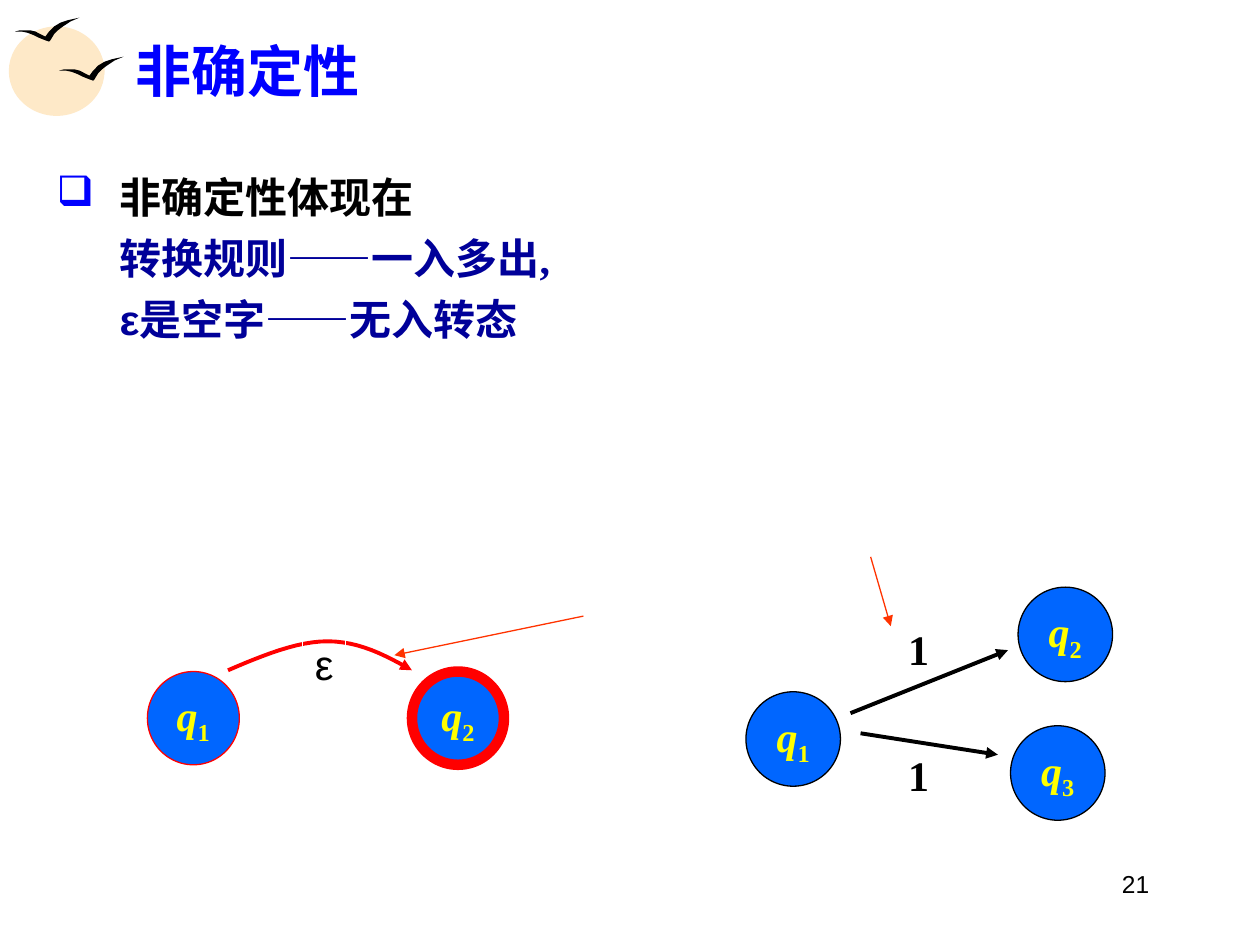
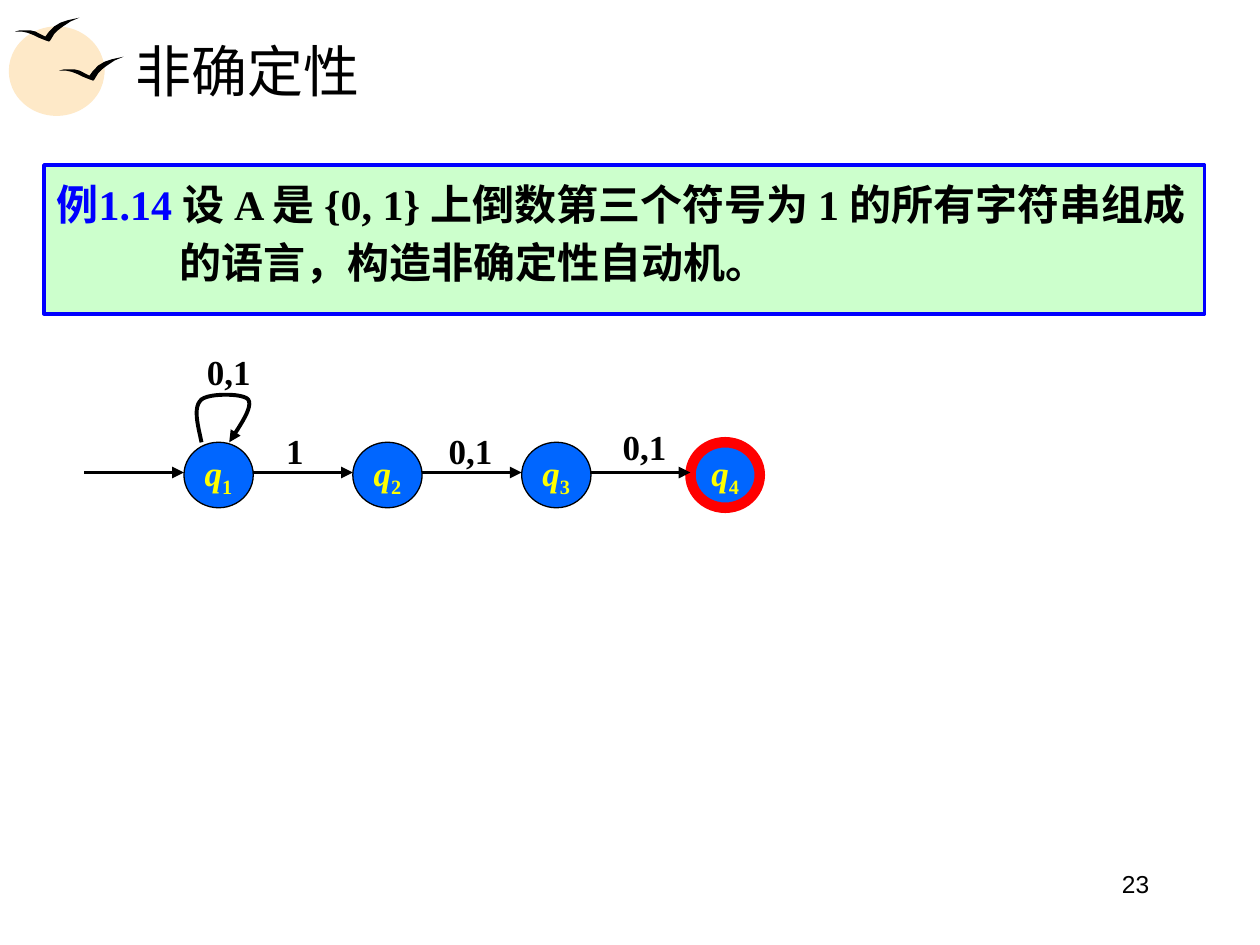
from dataclasses import dataclass
from typing import Any

from lxml import etree
from pptx import Presentation
from pptx.dml.color import RGBColor
from pptx.enum.shapes import MSO_CONNECTOR, MSO_SHAPE
from pptx.enum.text import MSO_ANCHOR, PP_ALIGN
from pptx.oxml.ns import qn
from pptx.util import Inches, Pt

STRAIGHT = MSO_CONNECTOR.STRAIGHT
OVAL, RECTANGLE = MSO_SHAPE.OVAL, MSO_SHAPE.RECTANGLE
MIDDLE, TOP = MSO_ANCHOR.MIDDLE, MSO_ANCHOR.TOP
LEFT, CENTER, RIGHT = PP_ALIGN.LEFT, PP_ALIGN.CENTER, PP_ALIGN.RIGHT

BLACK = RGBColor(0x00, 0x00, 0x00)
WHITE = RGBColor(0xFF, 0xFF, 0xFF)
BLUE = RGBColor(0x00, 0x00, 0xFF)
NAVY = RGBColor(0x00, 0x00, 0x99)
STATE_BLUE = RGBColor(0x00, 0x66, 0xFF)
YELLOW = RGBColor(0xFF, 0xFF, 0x00)
RED = RGBColor(0xFF, 0x00, 0x00)
ORANGE = RGBColor(0xFF, 0x33, 0x00)
SUN = RGBColor(0xFE, 0xE9, 0xC8)
MINT = RGBColor(0xCC, 0xFF, 0xCC)

SERIF, SANS = "Times New Roman", "Arial"
THIN, BOLD_LINE, ACCEPT_LINE = 0.75, 2.25, 6
BULLET = "❑"

Point = tuple[float, float]
Box = tuple[float, float, float, float]

BIRD: list[Point] = [
    (0.12, 0.25), (0.16, 0.24), (0.24, 0.24), (0.28, 0.25), (0.32, 0.27),
    (0.36, 0.29), (0.39, 0.25), (0.43, 0.21), (0.48, 0.18), (0.54, 0.16),
    (0.63, 0.14), (0.56, 0.17), (0.5, 0.21), (0.46, 0.24), (0.43, 0.27),
    (0.4, 0.32), (0.39, 0.33), (0.36, 0.32), (0.31, 0.3), (0.27, 0.28),
    (0.22, 0.26), (0.17, 0.25),
]
BIRD_SHIFTS: list[Point] = [(0.35, 0.31), (0, 0)]
SUN_DISCS: list[Box] = [(0.07, 0.21, 0.76, 0.71), (0.2, 0.28, 0.63, 0.55)]


@dataclass(frozen=True)
class Span:
    text: str
    size: float = 24
    color: RGBColor = BLACK
    bold: bool = True
    italic: bool = False
    font: str = SERIF
    baseline: int = 0


@dataclass(frozen=True)
class State:
    number: int
    box: Box
    size: float = 24
    outline: RGBColor = BLACK
    width: float = THIN


@dataclass(frozen=True)
class Label:
    span: Span
    box: Box
    outline: RGBColor | None = None


@dataclass(frozen=True)
class Arrow:
    start: Point
    end: Point
    color: RGBColor = BLACK
    width: float = BOLD_LINE


@dataclass(frozen=True)
class Curve:
    start: Point
    segments: list[tuple[Point, Point, Point]]
    color: RGBColor = BLACK


def apply_format(target: Any, values: dict[str, Any]) -> None:
    for name, value in values.items():
        setattr(target, name, value)


def write(paragraph: Any, spans: list[Span]) -> None:
    for span in spans:
        run = paragraph.add_run()
        run.text = span.text
        apply_format(run.font, {"name": span.font, "size": Pt(span.size),
                                "bold": span.bold, "italic": span.italic})
        run.font.color.rgb = span.color
        if span.baseline:
            run._r.get_or_add_rPr().set("baseline", str(span.baseline))


def indent(paragraph: Any, margin: float, first: float) -> None:
    properties = paragraph._p.get_or_add_pPr()
    properties.set("marL", str(Inches(margin)))
    properties.set("indent", str(Inches(first)))


def add_bullet(paragraph: Any, color: RGBColor) -> None:
    properties = paragraph._p.get_or_add_pPr()
    bullet_color = etree.SubElement(properties, qn("a:buClr"))
    etree.SubElement(bullet_color, qn("a:srgbClr")).set("val", str(color))
    etree.SubElement(properties, qn("a:buChar")).set("char", BULLET)


def set_line(line: Any, color: RGBColor, width: float) -> None:
    line.color.rgb = color
    line.width = Pt(width)


def point_arrow(shape: Any) -> None:
    outline = shape._element.spPr.find(qn("a:ln"))
    etree.SubElement(outline, qn("a:tailEnd")).set("type", "triangle")


def add_filled(slide: Any, kind: Any, box: Box, fill: RGBColor) -> Any:
    shape = slide.shapes.add_shape(kind, *map(Inches, box))
    shape.shadow.inherit = False
    shape.fill.solid()
    shape.fill.fore_color.rgb = fill
    shape.line.fill.background()
    return shape


def add_text(slide: Any, box: Box, spans: list[Span], align: Any = LEFT,
             anchor: Any = TOP, wrap: bool = True) -> Any:
    area = slide.shapes.add_textbox(*map(Inches, box))
    apply_format(area.text_frame, {"word_wrap": wrap, "vertical_anchor": anchor})
    paragraph = area.text_frame.paragraphs[0]
    paragraph.alignment = align
    write(paragraph, spans)
    return area


def draw_state(slide: Any, state: State) -> None:
    circle = add_filled(slide, OVAL, state.box, STATE_BLUE)
    set_line(circle.line, state.outline, state.width)
    apply_format(circle.text_frame, {"word_wrap": False, "vertical_anchor": MIDDLE})
    paragraph = circle.text_frame.paragraphs[0]
    paragraph.alignment = CENTER
    write(paragraph, [Span("q", state.size, YELLOW, italic=True),
                      Span(str(state.number), state.size, YELLOW, baseline=-25000)])


def draw_label(slide: Any, label: Label) -> None:
    area = add_text(slide, label.box, [label.span], CENTER, wrap=False)
    if label.outline is not None:
        set_line(area.line, label.outline, THIN)


def draw_arrow(slide: Any, arrow: Arrow) -> None:
    connector = slide.shapes.add_connector(
        STRAIGHT, *map(Inches, arrow.start + arrow.end))
    set_line(connector.line, arrow.color, arrow.width)
    point_arrow(connector)
    etree.SubElement(connector._element.spPr, qn("a:effectLst"))


def add_outline(slide: Any, points: list[Point], close: bool) -> Any:
    corners = [(Inches(x), Inches(y)) for x, y in points]
    builder = slide.shapes.build_freeform(*corners[0])
    builder.add_line_segments(corners[1:], close=close)
    shape = builder.convert_to_shape()
    shape.shadow.inherit = False
    return shape


def bezier(a: Point, b: Point, c: Point, d: Point, steps: int = 12) -> list[Point]:
    points = []
    for step in range(1, steps + 1):
        t = step / steps
        weights = ((1 - t) ** 3, 3 * t * (1 - t) ** 2, 3 * t * t * (1 - t), t ** 3)
        x, y = (sum(w * p[axis] for w, p in zip(weights, (a, b, c, d)))
                for axis in (0, 1))
        points.append((x, y))
    return points


def draw_curve(slide: Any, curve: Curve) -> None:
    points = [curve.start]
    for segment in curve.segments:
        points += bezier(points[-1], *segment)
    shape = add_outline(slide, points, close=False)
    shape.fill.background()
    set_line(shape.line, curve.color, BOLD_LINE)
    point_arrow(shape)


def start_slide(deck: Any, title: Span, number: int) -> Any:
    slide = deck.slides.add_slide(deck.slide_layouts[6])
    for disc in SUN_DISCS:
        add_filled(slide, OVAL, disc, SUN)
    for dx, dy in BIRD_SHIFTS:
        bird = add_outline(slide, [(x + dx, y + dy) for x, y in BIRD], close=True)
        bird.fill.solid()
        bird.fill.fore_color.rgb = BLACK
        bird.line.fill.background()
    add_text(slide, (6.89, 6.85, 2.33, 0.52),
             [Span(str(number), 14, bold=False, font=SANS)], RIGHT)
    add_text(slide, (0.98, 0.21, 8.53, 0.69), [title], anchor=MIDDLE)
    return slide


def build_rules_slide(deck: Any) -> None:
    slide = start_slide(deck, Span("非确定性", 32, BLUE), 21)
    body = add_text(slide, (0.35, 1.31, 9.15, 1.65), [Span("非确定性体现在")])
    heading = body.text_frame.paragraphs[0]
    indent(heading, 0.5, -0.5)
    add_bullet(heading, BLUE)
    for spans in (
        [Span("转换规则——一入多出,", color=NAVY)],
        [Span("ε", color=NAVY, font=SANS), Span("是空字——无入转态", color=NAVY)],
    ):
        rule = body.text_frame.add_paragraph()
        indent(rule, 0.5, 0)
        rule.space_before = Pt(6)
        write(rule, spans)

    for number, x, y in ((2, 8.08, 4.66), (1, 5.92, 5.49), (3, 8.02, 5.76)):
        draw_state(slide, State(number, (x, y, 0.75, 0.75)))
    for y in (4.9, 5.9):
        draw_label(slide, Label(Span("1"), (7.11, y, 0.36, 0.5)))
    for arrow in (
        Arrow((6.83, 5.82), (7.92, 5.99)),
        Arrow((6.75, 5.66), (8, 5.16)),
        Arrow((6.91, 4.42), (7.07, 4.97), ORANGE, THIN),
    ):
        draw_arrow(slide, arrow)

    for number, x, width in ((1, 1.17, THIN), (2, 3.27, ACCEPT_LINE)):
        draw_state(slide, State(number, (x, 5.33, 0.73, 0.74), 24, RED, width))
    draw_curve(slide, Curve((1.81, 5.32), [
        ((2.09, 5.2), (2.36, 5.09), (2.6, 5.09)),
        ((2.85, 5.09), (3.06, 5.2), (3.27, 5.32)),
    ], RED))
    draw_label(slide, Label(Span("ε", bold=False, font=SANS),
                            (2.4, 5.02, 0.34, 0.5), WHITE))
    draw_arrow(slide, Arrow((4.63, 4.89), (3.13, 5.2), ORANGE, THIN))


def build_example_slide(deck: Any) -> None:
    slide = start_slide(deck, Span("非确定性", 32, bold=False), 23)
    example = add_filled(slide, RECTANGLE, (0.35, 1.31, 9.21, 1.18), MINT)
    set_line(example.line, BLUE, BOLD_LINE)
    apply_format(example.text_frame, {"word_wrap": True, "vertical_anchor": TOP})
    statement = example.text_frame.paragraphs[0]
    apply_format(statement, {"alignment": LEFT, "line_spacing": 1.15})
    indent(statement, 0.98, -0.98)
    write(statement, [
        Span("例1.14 ", color=BLUE),
        Span("设 A 是 {0, 1} 上倒数第三个符号为 1 的所有字符串"
             "组成的语言，构造非确定性自动机。"),
    ])

    draw_curve(slide, Curve((1.6, 3.51), [
        ((1.57, 3.37), (1.53, 3.23), (1.6, 3.17)),
        ((1.66, 3.12), (1.93, 3.12), (1.97, 3.17)),
        ((2.01, 3.23), (1.91, 3.37), (1.82, 3.51)),
    ]))
    first_left, pitch, count = 1.46, 1.34, 4
    for index in range(count):
        left = first_left + index * pitch
        accepting = index == count - 1
        draw_state(slide, State(index + 1, (left, 3.51, 0.55, 0.52), 20,
                                RED if accepting else BLACK,
                                ACCEPT_LINE if accepting else THIN))
    for index in range(count):
        left = first_left + index * pitch
        draw_arrow(slide, Arrow((left - 0.79, 3.75), (left, 3.75)))
    for symbols, x, y, width in (("0,1", 1.54, 2.73, 0.55), ("1", 2.17, 3.36, 0.34),
                                 ("0,1", 3.46, 3.36, 0.55), ("0,1", 4.84, 3.33, 0.55)):
        draw_label(slide, Label(Span(symbols, 20), (x, y, width, 0.44)))


def main() -> None:
    deck = Presentation()
    apply_format(deck, {"slide_width": Inches(10), "slide_height": Inches(7.5)})
    build_rules_slide(deck)
    build_example_slide(deck)
    deck.save("out.pptx")


if __name__ == "__main__":
    main()
